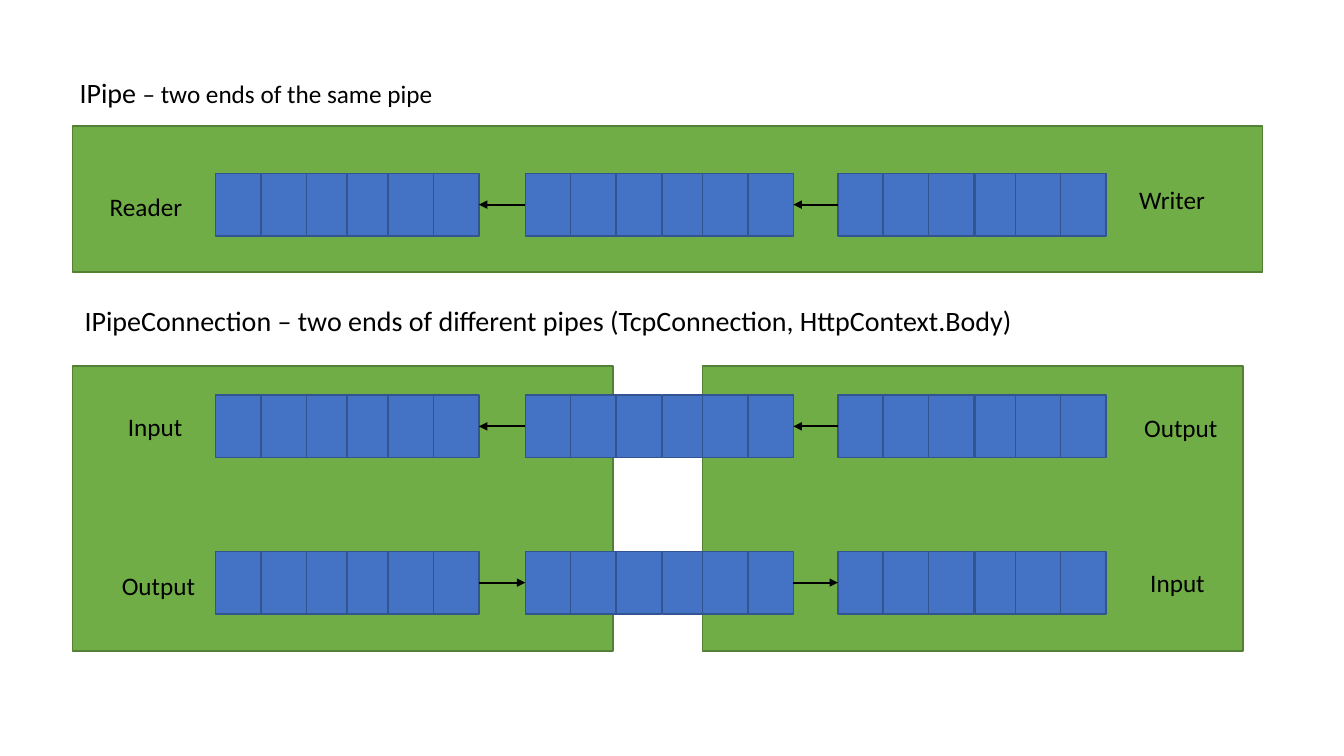
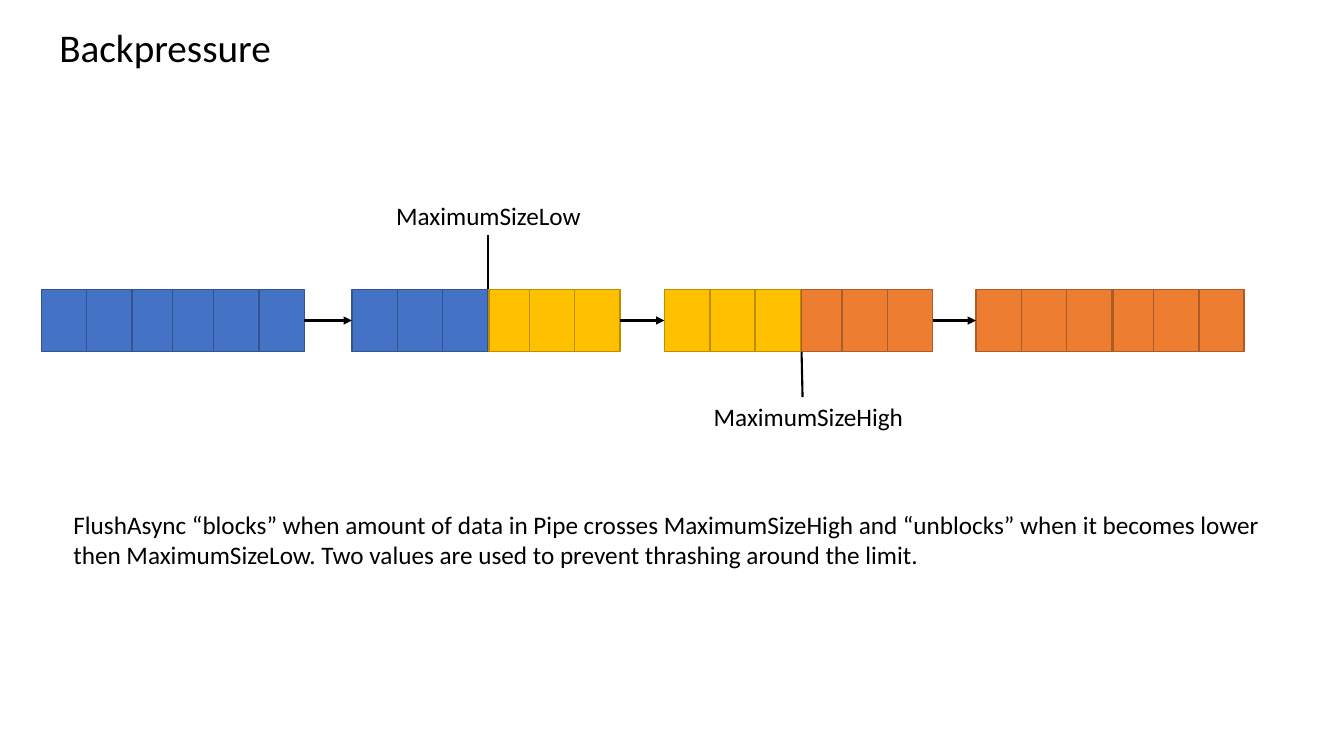
"""Build two slides on pipes, pipe connections and backpressure."""
from lxml import etree
from pptx import Presentation
from pptx.dml.color import RGBColor
from pptx.enum.shapes import MSO_CONNECTOR, MSO_SHAPE
from pptx.enum.text import MSO_AUTO_SIZE
from pptx.oxml.ns import qn
from pptx.util import Inches, Pt

FONT = "Calibri"
COLORS = {
    "text": "000000",
    "green": "70AD47", "green_line": "538035",
    "blue": "4472C4", "blue_line": "325491",
    "yellow": "FFC000", "yellow_line": "BD8E00",
    "orange": "ED7D31", "orange_line": "AF5C24",
}

CELL_WIDTH, CELL_HEIGHT = 0.45, 0.62
SHORT_OFFSETS = (0, 0.45, 0.9, 1.3, 1.71, 2.16)
LONG_OFFSETS = (0, 0.45, 0.9, 1.36, 1.76, 2.21)
LEFT_SIDE, RIGHT_SIDE = 1, 3

PANELS = [
    (6.97, 3.63, 5.36, 2.83),
    (0.72, 3.63, 5.36, 2.83),
    (0.72, 1.25, 11.8, 1.45),
]
PIPE_LEFTS = (2.14, 5.21, 8.31)
PIPE_COLORS = (["blue"] * 6,) * 3
PIPES = [(1.72, False), (3.92, False), (5.47, True)]
PIPE_HEADINGS = [
    ([("IPipe ", 20), ("– two ends of the same pipe", 18)], (0.69, 0.7, 4.25, 0.44)),
    ([("IPipeConnection – two ends of different pipes (TcpConnection, HttpContext.Body)", 20)],
     (0.74, 2.96, 11.54, 0.44)),
]
PIPE_LABELS = [
    ("Reader", (0.99, 1.85, 0.93, 0.4)),
    ("Writer", (11.2, 1.78, 0.86, 0.4)),
    ("Input", (1.17, 4.03, 0.75, 0.4)),
    ("Output", (11.25, 4.04, 0.94, 0.4)),
    ("Output", (1.11, 5.61, 0.94, 0.4)),
    ("Input", (11.31, 5.58, 0.75, 0.4)),
]

BUFFER_TOP = 2.87
BUFFER_LEFTS = (0.41, 3.49, 6.59, 9.68)
BUFFER_COLORS = (
    ["blue"] * 6,
    ["blue"] * 3 + ["yellow"] * 3,
    ["yellow"] * 3 + ["orange"] * 3,
    ["orange"] * 6,
)
LIMITS = [
    ("MaximumSizeLow", (3.83, 1.94, 2.05, 0.4), (4.84, 2.33), (4.84, 2.87)),
    ("MaximumSizeHigh", (6.98, 3.93, 2.1, 0.4), (7.95, 3.49), (7.96, 3.94)),
]
BACKPRESSURE_TITLE = "Backpressure"
BACKPRESSURE_NOTE = (
    "FlushAsync “blocks” when amount of data in Pipe crosses MaximumSizeHigh and "
    "“unblocks” when it becomes lower then MaximumSizeLow. Two values are used to "
    "prevent thrashing around the limit."
)


def add_box(slide, box, color):
    shape = slide.shapes.add_shape(MSO_SHAPE.RECTANGLE, *map(Inches, box))
    shape.shadow.inherit = False
    shape.fill.solid()
    shape.fill.fore_color.rgb = RGBColor.from_string(COLORS[color])
    shape.line.color.rgb = RGBColor.from_string(COLORS[color + "_line"])
    shape.line.width = Pt(1)
    return shape


def add_text(slide, runs, box, wrap=True):
    shape = slide.shapes.add_textbox(*map(Inches, box))
    frame = shape.text_frame
    frame.word_wrap = wrap
    frame.auto_size = MSO_AUTO_SIZE.SHAPE_TO_FIT_TEXT
    paragraph = frame.paragraphs[0]
    paragraph.font.name = FONT
    paragraph.font.size = Pt(runs[0][1])
    paragraph.font.color.rgb = RGBColor.from_string(COLORS["text"])
    for text, size in runs:
        run = paragraph.add_run()
        run.text = text
        if size != runs[0][1]:
            run.font.size = Pt(size)


def add_line(slide, start=(0, 0), end=(0, 0)):
    connector = slide.shapes.add_connector(
        MSO_CONNECTOR.STRAIGHT, *map(Inches, (*start, *end)))
    connector.line.color.rgb = RGBColor.from_string(COLORS["text"])
    connector.line.width = Pt(1.5)
    properties = connector.line._get_or_add_ln().getparent()
    etree.SubElement(properties, qn("a:effectLst"))
    return connector


def add_arrow(slide, source, source_side, target, target_side):
    connector = add_line(slide)
    connector.begin_connect(source, source_side)
    connector.end_connect(target, target_side)
    etree.SubElement(connector.line._get_or_add_ln(), qn("a:tailEnd"), type="triangle")


def add_chain(slide, top, lefts, colors, rightward):
    blocks = []
    for index, (left, block_colors) in enumerate(zip(lefts, colors)):
        offsets = LONG_OFFSETS if index else SHORT_OFFSETS
        blocks.append([
            add_box(slide, (left + offset, top, CELL_WIDTH, CELL_HEIGHT), color)
            for offset, color in zip(offsets, block_colors)
        ])
    for before, after in zip(blocks, blocks[1:]):
        ends = [(before[-1], RIGHT_SIDE), (after[0], LEFT_SIDE)]
        source, target = ends if rightward else reversed(ends)
        add_arrow(slide, *source, *target)


def build_pipes(slide):
    for panel in PANELS:
        add_box(slide, panel, "green")
    for top, rightward in PIPES:
        add_chain(slide, top, PIPE_LEFTS, PIPE_COLORS, rightward)
    for runs, box in PIPE_HEADINGS:
        add_text(slide, runs, box)
    for label, box in PIPE_LABELS:
        add_text(slide, [(label, 18)], box, wrap=False)


def build_backpressure(slide):
    add_text(slide, [(BACKPRESSURE_TITLE, 28)], (0.49, 0.18, 4.25, 0.57))
    add_chain(slide, BUFFER_TOP, BUFFER_LEFTS, BUFFER_COLORS, True)
    for label, box, start, end in LIMITS:
        add_line(slide, start, end)
        add_text(slide, [(label, 18)], box, wrap=False)
    add_text(slide, [(BACKPRESSURE_NOTE, 18)], (0.63, 5, 12.34, 0.71))


def main():
    presentation = Presentation()
    presentation.slide_width = Inches(13.33)
    presentation.slide_height = Inches(7.5)
    blank = presentation.slide_layouts[6]
    for build in (build_pipes, build_backpressure):
        build(presentation.slides.add_slide(blank))
    presentation.save("out.pptx")


if __name__ == "__main__":
    main()
